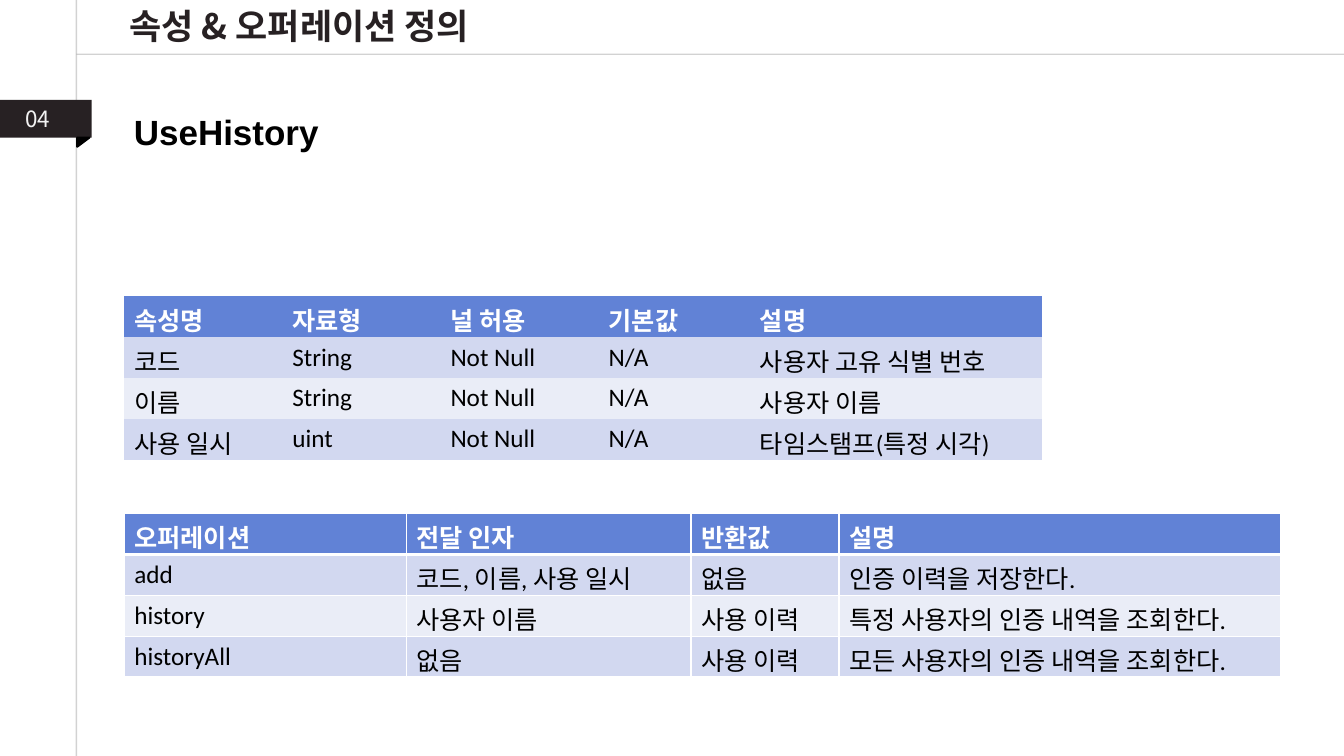
from dataclasses import dataclass

from lxml.etree import SubElement
from pptx import Presentation
from pptx.dml.color import RGBColor
from pptx.enum.shapes import MSO_CONNECTOR as Connector, MSO_SHAPE as Shape
from pptx.enum.text import MSO_AUTO_SIZE as AutoSize, PP_ALIGN as Align
from pptx.oxml.ns import qn
from pptx.util import Pt


@dataclass(frozen=True)
class Theme:
    dark: str = "272123"
    black: str = "000000"
    white: str = "FFFFFF"
    number: str = "F2F2F2"
    number_outline: str = "D9D9D9"
    rule: str = "A6A6A6"
    header: str = "6182D6"
    bands: tuple = ("D2D8F0", "EAEDF7")
    title_size: float = 25
    number_size: float = 16
    table_size: float = 18
    korean_font: str = "Noto Sans CJK KR"
    heading_font: str = "Arial"
    table_font: str = "Calibri"


class SlideBuilder:
    def __init__(self, slide, theme):
        self.slide = slide
        self.theme = theme

    def add_alpha(self, color_parent, percent):
        color = color_parent.find(qn("a:solidFill"))[0]
        SubElement(color, qn("a:alpha"), val=str(percent * 1000))

    def add_solid_fill(self, parent, color):
        fill = SubElement(parent, qn("a:solidFill"))
        SubElement(fill, qn("a:srgbClr"), val=color)

    def style_run(self, run, font, size, color, bold=False, outline=None):
        run.font.name = font
        run.font.size = Pt(size)
        run.font.bold = bold
        run.font.color.rgb = RGBColor.from_string(color)
        properties = run._r.get_or_add_rPr()
        SubElement(properties, qn("a:ea"), typeface=self.theme.korean_font)
        if outline:
            line = SubElement(properties, qn("a:ln"), w=str(Pt(0.75)))
            self.add_solid_fill(line, outline)
            self.add_alpha(line, 30)
            properties.insert(0, line)

    def rule(self, start, end):
        connector = self.slide.shapes.add_connector(
            Connector.STRAIGHT, *map(Pt, start + end))
        connector.line.width = Pt(1)
        connector.line.color.rgb = RGBColor.from_string(self.theme.rule)
        self.add_alpha(connector.line._get_or_add_ln(), 50)
        SubElement(connector._element.spPr, qn("a:effectLst"))

    def shape(self, kind, box, color, rotation=0, line_width=0):
        shape = self.slide.shapes.add_shape(kind, *map(Pt, box))
        shape.shadow.inherit = False
        shape.rotation = rotation
        shape.fill.solid()
        shape.fill.fore_color.rgb = RGBColor.from_string(color)
        if line_width:
            shape.line.width = Pt(line_width)
            shape.line.color.rgb = RGBColor.from_string(color)
        else:
            shape.line.fill.background()

    def text(self, box, text, align=Align.LEFT, **style):
        frame = self.slide.shapes.add_textbox(*map(Pt, box)).text_frame
        frame.word_wrap = True
        frame.auto_size = AutoSize.SHAPE_TO_FIT_TEXT
        frame.text = text
        paragraph = frame.paragraphs[0]
        paragraph.alignment = align
        self.style_run(paragraph.runs[0], **style)

    def cell_borders(self, cell, bottom_width, visible):
        properties = cell._tc.get_or_add_tcPr()
        widths = {"L": 1, "R": 1, "T": 1, "B": bottom_width}
        for index, (side, width) in enumerate(widths.items()):
            line = SubElement(properties, qn(f"a:ln{side}"), w=str(Pt(width)))
            if visible:
                self.add_solid_fill(line, self.theme.white)
            else:
                SubElement(line, qn("a:noFill"))
            properties.insert(index, line)

    def table(self, left, top, widths, row_height, rows, borders):
        theme = self.theme
        table = self.slide.shapes.add_table(
            len(rows), len(widths), Pt(left), Pt(top),
            Pt(sum(widths)), Pt(row_height * len(rows))).table
        for column, width in zip(table.columns, widths):
            column.width = Pt(width)
        for row_index, values in enumerate(rows):
            is_header = row_index == 0
            fill = theme.header if is_header else theme.bands[(row_index - 1) % 2]
            color = theme.white if is_header else theme.black
            for column_index, value in enumerate(values):
                cell = table.cell(row_index, column_index)
                cell.text_frame.text = value
                self.style_run(cell.text_frame.paragraphs[0].runs[0],
                               theme.table_font, theme.table_size, color, is_header)
                cell.fill.solid()
                cell.fill.fore_color.rgb = RGBColor.from_string(fill)
                self.cell_borders(cell, 3 if is_header else 1, borders)


ATTRIBUTES = [
    ("속성명", "자료형", "널 허용", "기본값", "설명"),
    ("코드", "String", "Not Null", "N/A", "사용자 고유 식별 번호"),
    ("이름", "String", "Not Null", "N/A", "사용자 이름"),
    ("사용 일시", "uint", "Not Null", "N/A", "타임스탬프(특정 시각)"),
]
OPERATIONS = [
    ("오퍼레이션", "전달 인자", "반환값", "설명"),
    ("add", "코드, 이름, 사용 일시", "없음", "인증 이력을 저장한다."),
    ("history", "사용자 이름", "사용 이력", "특정 사용자의 인증 내역을 조회한다."),
    ("historyAll", "없음", "사용 이력", "모든 사용자의 인증 내역을 조회한다."),
]


def main():
    presentation = Presentation()
    presentation.slide_width = Pt(960)
    presentation.slide_height = Pt(540)
    theme = Theme()
    slide = presentation.slides.add_slide(presentation.slide_layouts[6])
    builder = SlideBuilder(slide, theme)

    builder.rule((54.6, -27), (54.6, 561))
    builder.rule((960, 38.8), (54.6, 38.8))
    builder.shape(Shape.RECTANGLE, (0, 71.3, 65.5, 27), theme.dark)
    builder.shape(Shape.RIGHT_TRIANGLE, (56.2, 97.2, 6.5, 8.7), theme.black,
                  rotation=90, line_width=1.5)
    builder.text((10.8, 71.3, 42.5, 26.6), "04", font=theme.korean_font,
                 size=theme.number_size, color=theme.number,
                 outline=theme.number_outline)
    builder.table(88.6, 211.5, (113, 113, 113, 108, 208.5), 29.2,
                  ATTRIBUTES, borders=False)
    builder.text((88.6, 75.6, 479.5, 37.5), "UseHistory",
                 font=theme.heading_font, size=theme.title_size,
                 color=theme.black, bold=True)
    builder.table(88.8, 366.8, (201.5, 203.3, 105.8, 315.2), 29.2,
                  OPERATIONS, borders=True)
    builder.text((53.3, 0, 321, 37.5), "속성 & 오퍼레이션 정의", Align.CENTER,
                 font=theme.korean_font, size=theme.title_size,
                 color=theme.dark, bold=True, outline=theme.black)
    presentation.save("out.pptx")


if __name__ == "__main__":
    main()
